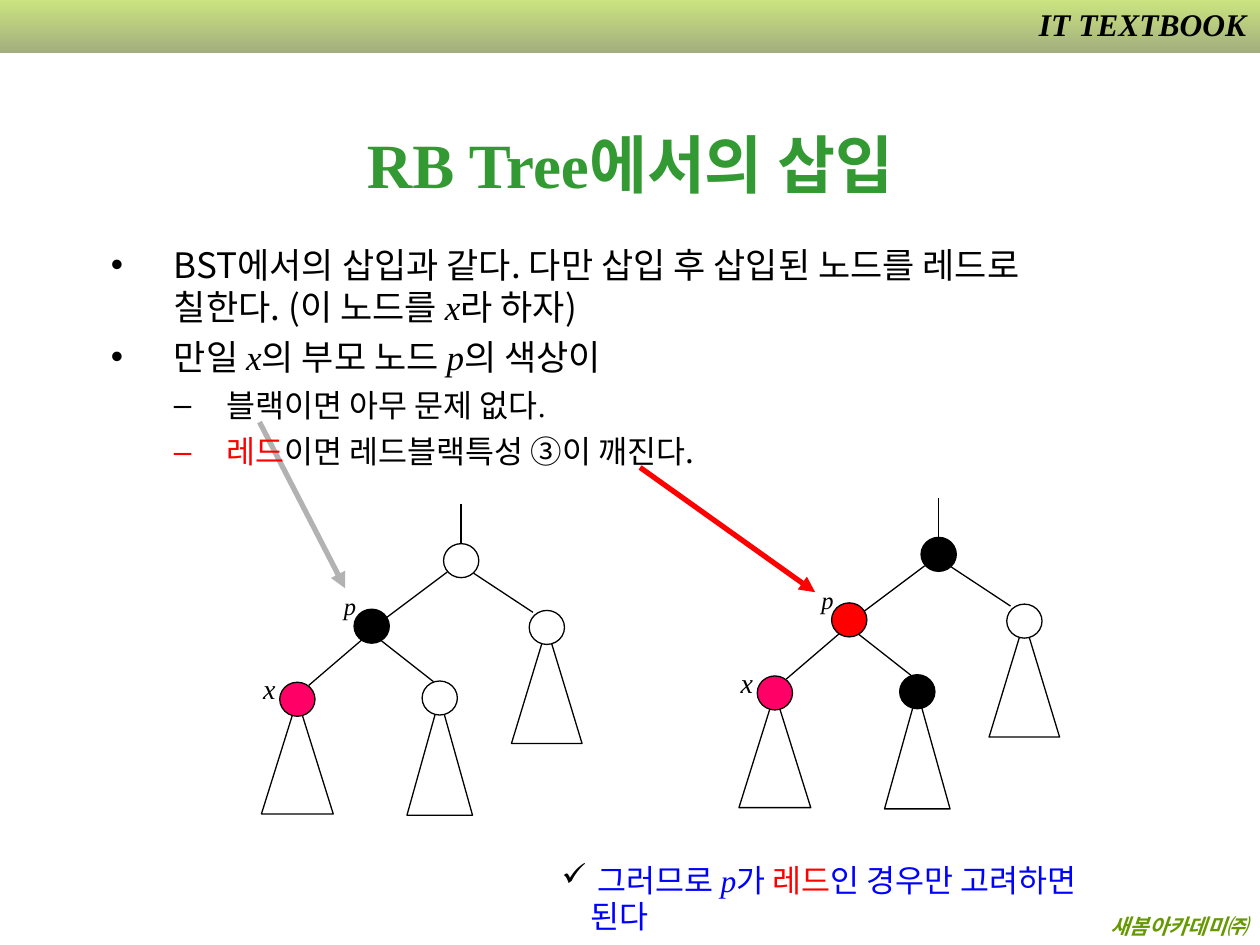
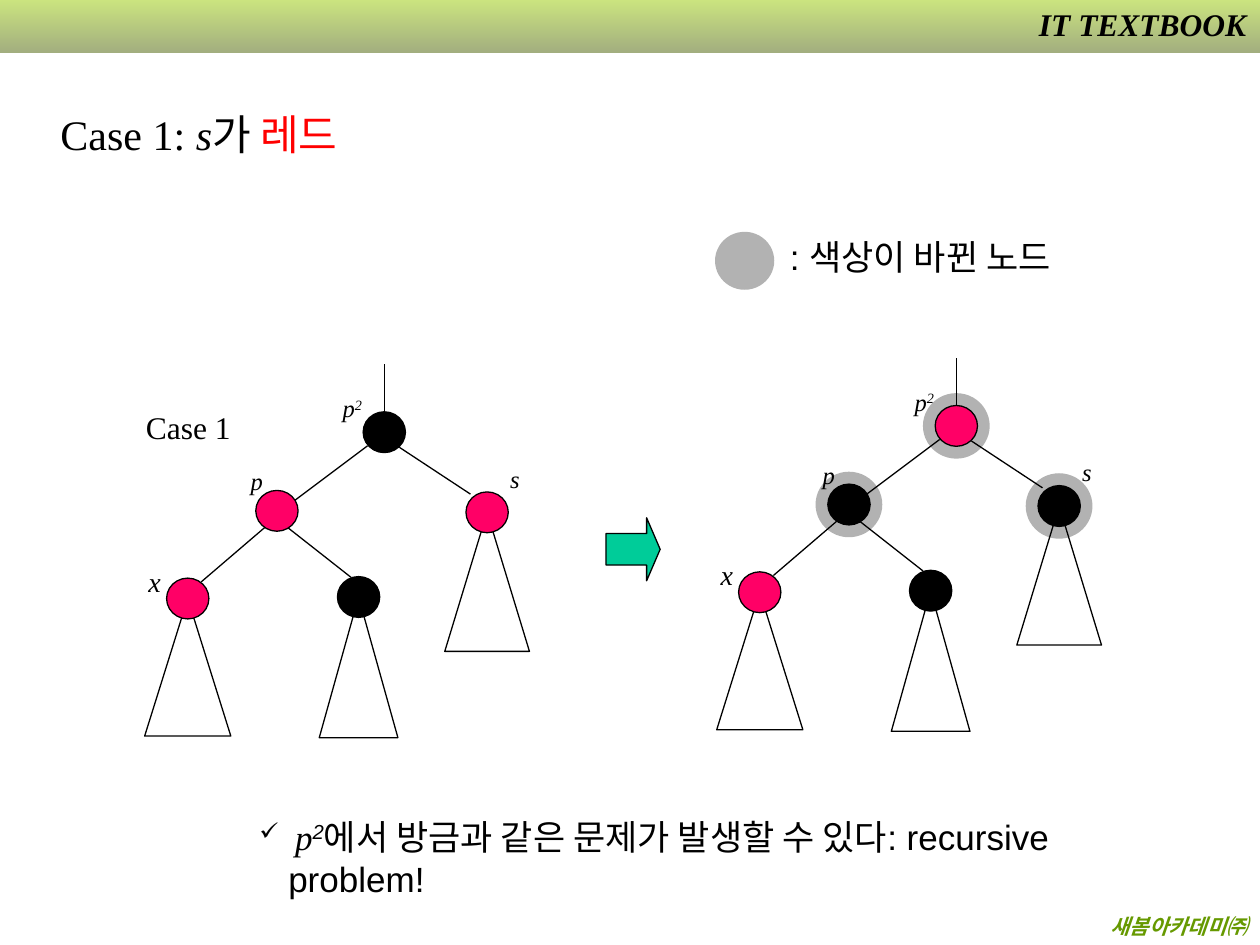
from lxml import etree
from pptx import Presentation
from pptx.dml.color import RGBColor
from pptx.enum.shapes import MSO_CONNECTOR, MSO_SHAPE
from pptx.enum.text import MSO_ANCHOR, MSO_AUTO_SIZE, PP_ALIGN
from pptx.oxml.ns import qn
from pptx.util import Inches, Pt

BLACK, WHITE, RED, BLUE = "000000", "FFFFFF", "FF0000", "0000FF"
PINK, GRAY, MINT = "FF0066", "B2B2B2", "00CC99"
TITLE_GREEN, FOOTER_GREEN = "339933", "669900"
BAND_TOP, BAND_BOTTOM = "99CC00", "475E00"
SERIF, SANS, KOREAN = "Times New Roman", "Arial", "Noto Sans CJK KR"

NODE_OFFSETS = {
    "root": (0, 0),
    "p": (-0.71, 0.52),
    "s": (0.68, 0.53),
    "x": (-1.3, 1.1),
    "sibling": (-0.17, 1.09),
}
SUBTREE_SIZES = {"s": (0.56, 0.92), "x": (0.57, 0.91), "sibling": (0.52, 0.93)}
EDGES = [
    ((0, -0.13), (0, -0.45)),
    ((-0.11, 0.09), (-0.59, 0.45)),
    ((0.1, 0.1), (0.57, 0.41)),
    ((-0.79, 0.63), (-1.21, 0.99)),
    ((-0.64, 0.63), (-0.22, 0.96)),
]
ITALIC_SERIF = {"font": SERIF, "italic": True}


def rgb(color):
    return RGBColor.from_string(color)


def add_xml(parent, tag, **attributes):
    return etree.SubElement(parent, qn(tag), attributes)


def add_runs(paragraph, pieces, size, font=SERIF, color=BLACK, bold=False, italic=False):
    for text, changes in pieces:
        style = {"font": font, "color": color, "size": size, "italic": italic, **changes}
        run = paragraph.add_run()
        run.text = text
        run.font.size = Pt(style["size"])
        run.font.bold = bold
        run.font.italic = style["italic"]
        run.font.color.rgb = rgb(style["color"])
        run.font.name = style["font"]
        properties = run.font._element
        add_xml(properties, "a:ea", typeface=KOREAN)
        if style.get("superscript"):
            properties.set("baseline", "30000")


def set_bullet(paragraph, symbol, color, left, hanging):
    properties = paragraph._p.get_or_add_pPr()
    properties.set("marL", str(Inches(left)))
    properties.set("indent", str(-Inches(hanging)))
    bullet_color = add_xml(properties, "a:buClr")
    add_xml(bullet_color, "a:srgbClr", val=color)
    add_xml(properties, "a:buChar", char=symbol)


def place(shape, left, top, width, height):
    shape.left, shape.top = Inches(left), Inches(top)
    shape.width, shape.height = Inches(width), Inches(height)


def add_label(slide, box, pieces, size, align=PP_ALIGN.LEFT, wrap=False, **style):
    label = slide.shapes.add_textbox(*map(Inches, box))
    label.text_frame.word_wrap = wrap
    paragraph = label.text_frame.paragraphs[0]
    paragraph.alignment = align
    add_runs(paragraph, pieces, size, **style)
    return label


def add_note(slide, box, pieces, size, line_height, **style):
    note = add_label(slide, box, pieces, size, wrap=True, **style)
    paragraph = note.text_frame.paragraphs[0]
    set_bullet(paragraph, "✓", BLACK, 0.23, 0.23)
    paragraph.line_spacing = Pt(line_height)


def add_figure(slide, kind, box, fill=None, line=BLACK):
    figure = slide.shapes.add_shape(kind, *map(Inches, box))
    figure.shadow.inherit = False
    if fill:
        figure.fill.solid()
        figure.fill.fore_color.rgb = rgb(fill)
    else:
        figure.fill.background()
    if line:
        figure.line.color.rgb = rgb(line)
        figure.line.width = Pt(0.75)
    else:
        figure.line.fill.background()
    return figure


def add_circle(slide, center, width, height, fill, line=BLACK):
    x, y = center
    box = (x - width / 2, y - height / 2, width, height)
    add_figure(slide, MSO_SHAPE.OVAL, box, fill, line)


def add_line(slide, start, end, color=BLACK, width=0.75, arrow=False):
    line = slide.shapes.add_connector(MSO_CONNECTOR.STRAIGHT, *map(Inches, start + end))
    line.line.color.rgb = rgb(color)
    line.line.width = Pt(width)
    if arrow:
        add_xml(line.line._get_or_add_ln(), "a:tailEnd", type="triangle")
    add_xml(line._element.spPr, "a:effectLst")
    return line


def add_tree(slide, root, colors, labels, scale=1.0, changed=()):
    def at(offset):
        return root[0] + offset[0] * scale, root[1] + offset[1] * scale

    for name in changed:
        add_circle(slide, at(NODE_OFFSETS[name]), 0.53, 0.52, GRAY, None)
    for start, end in EDGES:
        add_line(slide, at(start), at(end))
    for name, (width, height) in SUBTREE_SIZES.items():
        x, y = at(NODE_OFFSETS[name])
        box = (x - width * scale / 2, y, width * scale, height * scale)
        add_figure(slide, MSO_SHAPE.ISOSCELES_TRIANGLE, box)
    for name, offset in NODE_OFFSETS.items():
        add_circle(slide, at(offset), 0.28 * scale, 0.27 * scale, colors[name])
    for text, size, dx, dy in labels:
        pieces = [(text[0], {})] + [(power, {"superscript": True}) for power in text[1:]]
        box = (root[0] + dx, root[1] + dy, 0.45, 0.34)
        add_label(slide, box, pieces, size, italic=True)


def fill_title(slide, box, pieces, size, align, anchor, **style):
    title = slide.shapes.title
    place(title, *box)
    title.text_frame.vertical_anchor = anchor
    title.text_frame.auto_size = MSO_AUTO_SIZE.NONE
    paragraph = title.text_frame.paragraphs[0]
    paragraph.alignment = align
    add_runs(paragraph, pieces, size, **style)


def fill_list(body, box, items):
    place(body, *box)
    frame = body.text_frame
    frame.auto_size = MSO_AUTO_SIZE.NONE
    for index, (level, color, pieces) in enumerate(items):
        paragraph = frame.add_paragraph() if index else frame.paragraphs[0]
        paragraph.level = level
        symbol, left, hanging, size, line_height, before = [
            ("•", 0.5, 0.5, 20, 24, 5),
            ("–", 0.92, 0.42, 18, 21.8, 4.5),
        ][level]
        set_bullet(paragraph, symbol, color, left, hanging)
        paragraph.line_spacing = Pt(line_height)
        paragraph.space_before = Pt(before if index else 0)
        add_runs(paragraph, pieces, size, font=KOREAN)


def build_frame(slide):
    band = add_figure(slide, MSO_SHAPE.RECTANGLE, (0, 0, 10, 0.42), line=None)
    band.fill.gradient()
    band.fill.gradient_angle = 270
    for stop, color in zip(band.fill.gradient_stops, (BAND_TOP, BAND_BOTTOM)):
        stop.color.rgb = rgb(color)
    for color_element in band._element.spPr.iter(qn("a:srgbClr")):
        add_xml(color_element, "a:alpha", val="50000")
    publisher = add_label(slide, (0.06, 7.2, 9.94, 0.3), [("새봄아카데미㈜", {})], 12,
                          PP_ALIGN.RIGHT, True, color=FOOTER_GREEN, bold=True, italic=True)
    series = add_label(slide, (7.88, -0.01, 2.11, 0.4), [("IT TEXTBOOK", {})], 18,
                       PP_ALIGN.RIGHT, True, bold=True, italic=True)
    for part in (band, publisher, series):
        slide.slide_layout.shapes.element.append(part._element)


def build_insertion(slide):
    black_case_arrow = add_line(slide, (2.06, 3.35), (2.74, 4.67), GRAY, 3, True)
    slide.shapes.title._element.addprevious(black_case_arrow._element)
    fill_title(slide, (0.75, 0.67, 8.5, 1.25), [("RB Tree에서의 삽입", {})], 36,
               PP_ALIGN.CENTER, MSO_ANCHOR.MIDDLE, color=TITLE_GREEN, bold=True)
    fill_list(slide.placeholders[1], (0.78, 1.88, 8.2, 2.01), [
        (0, BLACK, [("BST에서의 삽입과 같다. 다만 삽입 후 삽입된 노드를 레드로 칠한다. (이 노드를 ", {}),
                    ("x", ITALIC_SERIF), ("라 하자)", {})]),
        (0, BLACK, [("만일 ", {}), ("x", ITALIC_SERIF), ("의 부모 노드 ", {"font": SERIF}),
                    ("p", ITALIC_SERIF), ("의 색상이", {"font": SERIF})]),
        (1, BLACK, [("블랙이면 아무 문제 없다.", {"font": SERIF})]),
        (1, RED, [("레드", {"font": SERIF, "color": RED}),
                  ("이면 레드블랙특성 ", {"font": SERIF}), ("③이 깨진다.", {})]),
    ])
    labels = [("x", 16, -1.67, 0.83), ("p", 14, -1.03, 0.19)]
    black_parent = {"root": None, "p": BLACK, "s": WHITE, "x": PINK, "sibling": WHITE}
    red_parent = {"root": BLACK, "p": RED, "s": WHITE, "x": PINK, "sibling": BLACK}
    add_tree(slide, (3.66, 4.45), black_parent, labels)
    add_tree(slide, (7.45, 4.4), red_parent, labels)
    add_line(slide, (5.08, 3.71), (6.47, 4.7), RED, 3, True)
    add_note(slide, (4.36, 6.79, 4.75, 0.7), [
        (" ", {"color": BLACK}), ("그러므로 ", {}), ("p", ITALIC_SERIF), ("가 ", {}),
        ("레드", {"color": RED}), ("인 경우만 고려하면 된다", {}),
    ], 18, 21, font=SANS, color=BLUE)


def build_case_one(slide):
    body = slide.placeholders[1]._element
    body.getparent().remove(body)
    fill_title(slide, (0.38, 0.81, 8.54, 1.06), [
        ("Case 1: ", {}), ("s", {"italic": True}), ("가 ", {"font": KOREAN}),
        ("레드", {"font": KOREAN, "color": RED}),
    ], 24, PP_ALIGN.LEFT, MSO_ANCHOR.TOP)
    labels = [("x", 16, -1.97, 1), ("p", 14, -1.16, 0.22),
              ("s", 14, 0.9, 0.2), ("p2", 14, -0.43, -0.36)]
    before = {"root": BLACK, "p": PINK, "s": PINK, "x": PINK, "sibling": BLACK}
    after = {"root": PINK, "p": BLACK, "s": BLACK, "x": PINK, "sibling": BLACK}
    add_tree(slide, (3.05, 3.43), before, labels, 1.2)
    add_tree(slide, (7.59, 3.38), after, labels, 1.2, ("root", "p", "s"))
    arrow = add_figure(slide, MSO_SHAPE.RIGHT_ARROW, (4.81, 4.11, 0.43, 0.5), MINT)
    arrow.adjustments[1] = 0.25
    add_label(slide, (1.06, 3.19, 0.95, 0.4), [("Case 1", {})], 18)
    add_circle(slide, (5.91, 2.07), 0.47, 0.46, GRAY, None)
    add_label(slide, (6.17, 1.82, 2.5, 0.44), [(": 색상이 바뀐 노드", {})], 20, font=SANS)
    add_note(slide, (1.96, 6.42, 7.6, 0.75), [
        (" ", {"size": 14}), ("p", ITALIC_SERIF), ("2", {"italic": True, "superscript": True}),
        ("에서 방금과 같은 문제가 발생할 수 있다: recursive problem!", {}),
    ], 20, 24, font=SANS)


def main():
    prs = Presentation()
    prs.slide_width, prs.slide_height = Inches(10), Inches(7.5)
    layout = prs.slide_layouts[1]
    insertion = prs.slides.add_slide(layout)
    case_one = prs.slides.add_slide(layout)
    build_insertion(insertion)
    build_case_one(case_one)
    build_frame(insertion)
    prs.save("out.pptx")


if __name__ == "__main__":
    main()
